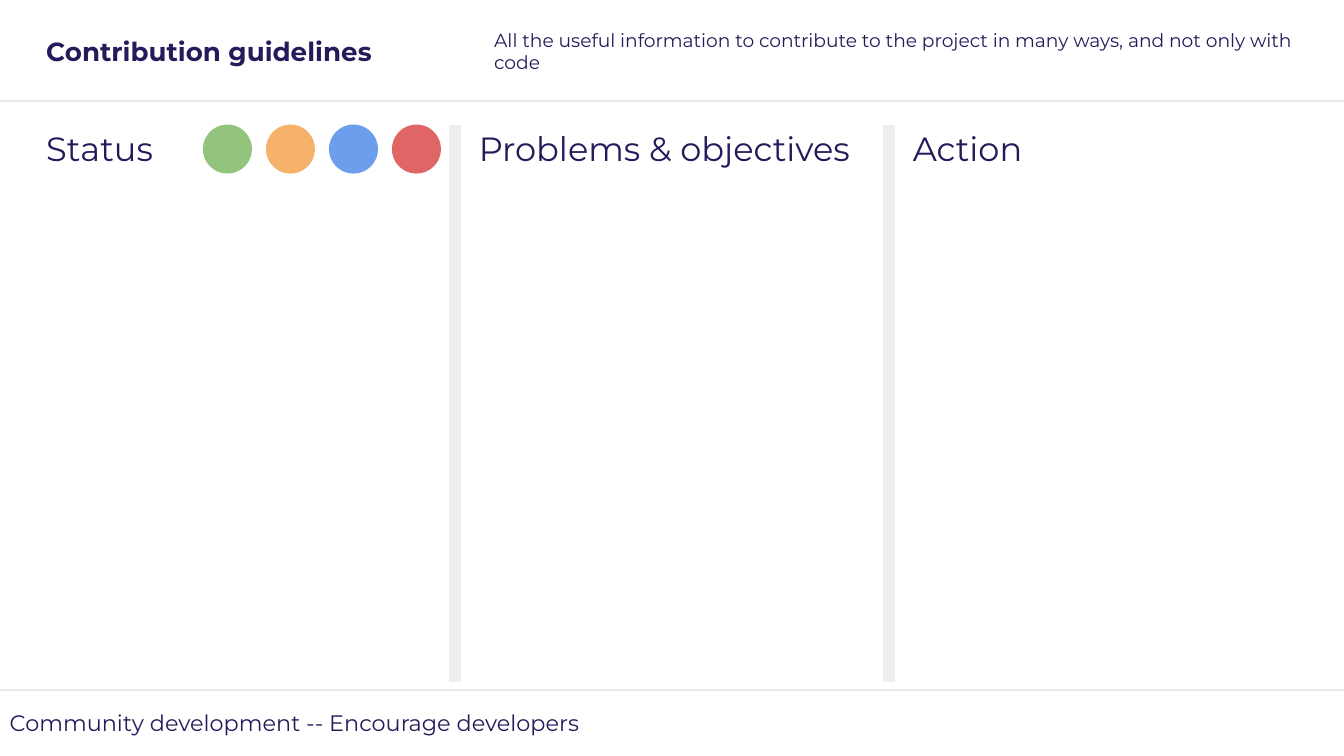
from lxml.etree import SubElement
from pptx import Presentation
from pptx.dml.color import RGBColor
from pptx.enum.shapes import MSO_CONNECTOR, MSO_SHAPE
from pptx.enum.text import MSO_ANCHOR as Anchor, MSO_AUTO_SIZE, PP_ALIGN
from pptx.oxml.ns import qn
from pptx.util import Pt

PX = 9525  # EMU per px, at 96 px to the inch
WIDTH, HEIGHT = 960, 540
COLORS = {
    "text": "251B5B", "rule": "E8E8E8", "divider": "EEEEEE",
    "green": "93C47D", "orange": "F6B26B", "blue": "6D9EEB", "red": "E06666",
}


def color(name):
    return RGBColor.from_string(COLORS[name])


class SlideBuilder:
    font_name = "Montserrat"
    inset = 7

    def __init__(self, slide):
        self.slide = slide

    def text(self, shape, box, words, size, bold=False, anchor=Anchor.MIDDLE):
        """Place a placeholder or text box and fill it with one plain paragraph."""
        for side, value in zip(("left", "top", "width", "height"), box):
            setattr(shape, side, value * PX)
        frame = shape.text_frame
        frame_format = {"word_wrap": True, "auto_size": MSO_AUTO_SIZE.NONE,
                        "vertical_anchor": anchor}
        for side in ("left", "top", "right", "bottom"):
            frame_format[f"margin_{side}"] = self.inset * PX
        for name, value in frame_format.items():
            setattr(frame, name, value)

        paragraph = frame.paragraphs[0]
        paragraph.text = words
        properties = paragraph._p.get_or_add_pPr()
        properties.set("marL", "0")
        properties.set("indent", "0")
        SubElement(properties, qn("a:buNone"))
        paragraph.alignment = PP_ALIGN.LEFT
        paragraph.space_before = Pt(0)
        font = paragraph.runs[0].font
        for name, value in {"name": self.font_name, "size": Pt(size), "bold": bold}.items():
            setattr(font, name, value)
        font.color.rgb = color("text")

    def text_box(self, box, words, size):
        shape = self.slide.shapes.add_textbox(0, 0, PX, PX)
        self.text(shape, box, words, size)

    def line(self, start, end, color_name, weight):
        points = [value * PX for value in (*start, *end)]
        connector = self.slide.shapes.add_connector(MSO_CONNECTOR.STRAIGHT, *points)
        connector.line.color.rgb = color(color_name)
        connector.line.width = Pt(weight)
        SubElement(connector._element.spPr, qn("a:effectLst"))

    def circle(self, left, top, size, color_name):
        box = [value * PX for value in (left, top, size, size)]
        shape = self.slide.shapes.add_shape(MSO_SHAPE.OVAL, *box)
        shape.shadow.inherit = False
        shape.fill.solid()
        shape.fill.fore_color.rgb = color(color_name)
        shape.line.fill.background()


def main():
    presentation = Presentation()
    presentation.slide_width = WIDTH * PX
    presentation.slide_height = HEIGHT * PX
    comparison_layout = presentation.slide_layouts[4]
    slide = presentation.slides.add_slide(comparison_layout)
    builder = SlideBuilder(slide)
    title, *columns, subtitle = slide.placeholders

    for y in (72, 493):
        builder.line((0, y), (WIDTH, y), "rule", 1)

    headings = ("Status", "Problems & objectives", "Action")
    for column, left, heading in zip(columns, (26, 335, 645), headings):
        builder.text(column, (left, 84, 290, 408), heading, 18, anchor=Anchor.TOP)

    builder.text(subtitle, (346, 10, 589, 53),
                 "All the useful information to contribute to the project "
                 "in many ways, and not only with code", 10)
    builder.text_box((0, 492, 780, 48), "Community development -- Encourage developers", 12)
    builder.text(title, (26, 10, 310, 53), "Contribution guidelines", 14, bold=True)

    for x in (325, 635):
        builder.line((x, 89), (x, 487), "divider", 6)
    for index, name in enumerate(("green", "orange", "blue", "red")):
        builder.circle(145 + 45 * index, 89, 35, name)

    presentation.save("out.pptx")


if __name__ == "__main__":
    main()
